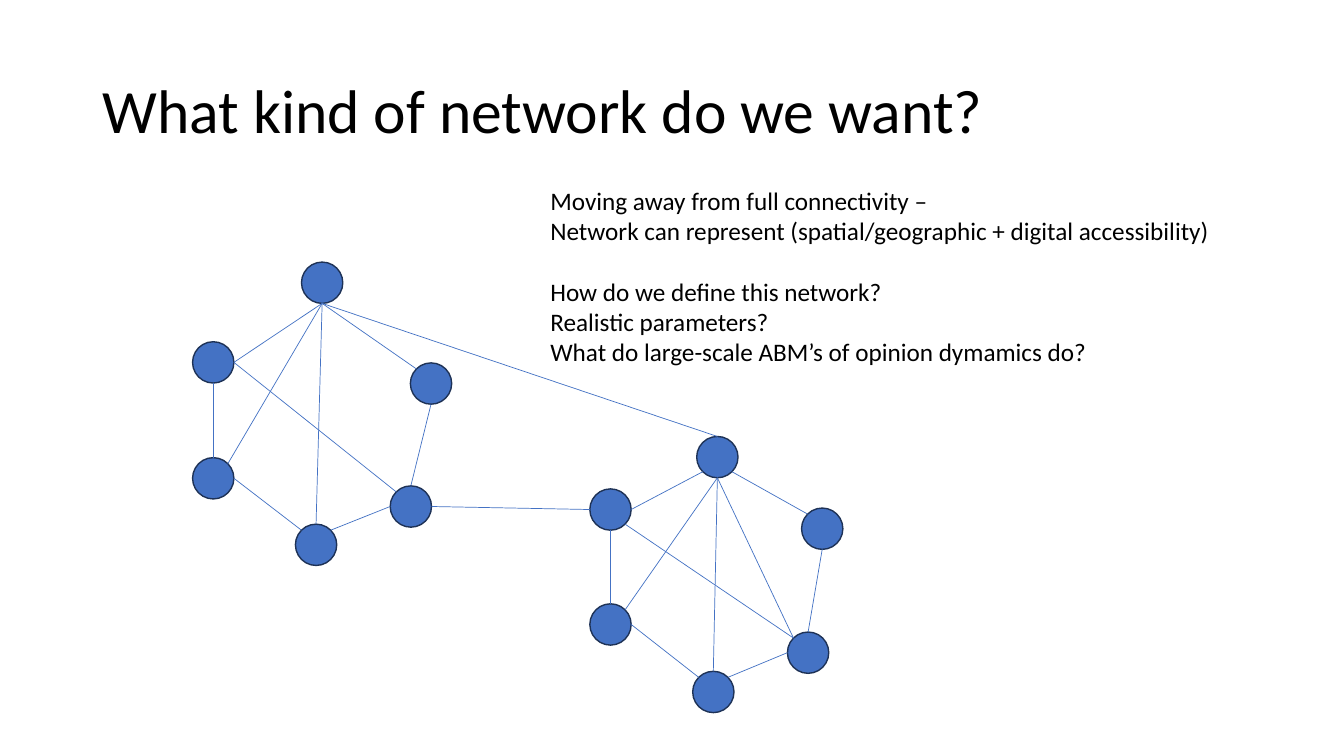
"""Build a slide of two small networks joined by two links."""
import math
from pptx import Presentation
from pptx import util as u
from pptx.dml.color import RGBColor
from pptx.enum import shapes, text
from pptx.oxml.ns import qn
from lxml import etree

BLUE = RGBColor(0x44, 0x72, 0xC4)
NAVY = RGBColor(0x1E, 0x32, 0x56)
BLACK = RGBColor(0, 0, 0)
SIZE = 0.41
SIDES = ("E", "SE", "S", "SW", "W", "NW", "N", "NE")

WEST = {"left": (1.91, 3.39), "low": (1.91, 4.54), "right": (3.87, 4.82),
        "base": (2.93, 5.2), "top": (2.99, 2.6), "far": (4.07, 3.6)}
EAST = {"left": (5.85, 4.85), "low": (5.85, 5.99), "right": (7.81, 6.27),
        "base": (6.87, 6.66), "top": (6.91, 4.33), "far": (7.95, 5.04)}

SHARED = [("far", "S", "right", "N"), ("top", "S", "base", "N"),
          ("top", "S", "low", "NE"), ("low", "E", "base", "NW"),
          ("base", "NE", "right", "W"), ("left", "S", "low", "N")]
WEST_ONLY = [("left", "E", "right", "NW"), ("left", "E", "top", "S"),
             ("top", "S", "far", "NW")]
EAST_ONLY = [("top", "S", "right", "NW"), ("left", "SE", "right", "NW"),
             ("left", "E", "top", "SW"), ("top", "SE", "far", "NW")]

TITLE = ["What kind of network do we want?"]
INTRO = ["Moving away from full connectivity –",
         "Network can represent (spatial/geographic + digital accessibility)"]
ASKS = ["How do we define this network?", "Realistic parameters?",
        "What do large-scale ABM’s of opinion dymamics do?"]


def site(node, side):
    """Return the point on a node's rim that faces the given side."""
    turn = SIDES.index(side) * math.pi / 4
    half = SIZE / 2
    return (node[0] + half + half * math.cos(turn),
            node[1] + half + half * math.sin(turn))


class Deck:
    """Hold the style and the current slide."""

    def __init__(self, font="Calibri"):
        self.font = font
        self.prs = Presentation()
        self.prs.slide_width = u.Inches(13.33)
        self.prs.slide_height = u.Inches(7.5)
        self.slide = self.prs.slides.add_slide(self.prs.slide_layouts[6])

    def label(self, box, lines, size, anchor=text.MSO_ANCHOR.TOP, pitch=None):
        """Add a text box with one paragraph per line."""
        frame = self.slide.shapes.add_textbox(*map(u.Inches, box)).text_frame
        frame.word_wrap = True
        frame.vertical_anchor = anchor
        frame.text = "\n".join(lines)
        for para in frame.paragraphs:
            para.font.name = self.font
            para.font.size = u.Pt(size)
            para.font.color.rgb = BLACK
            if pitch:
                para.line_spacing = pitch
        return frame

    def dot(self, node):
        """Add a round node."""
        dot = self.slide.shapes.add_shape(
            shapes.MSO_SHAPE.OVAL, *map(u.Inches, (*node, SIZE, SIZE)))
        dot.shadow.inherit = False
        dot.fill.solid()
        dot.fill.fore_color.rgb = BLUE
        dot.line.color.rgb = NAVY
        dot.line.width = u.Pt(1)

    def link(self, start, end):
        """Add a thin line between two points."""
        line = self.slide.shapes.add_connector(
            shapes.MSO_CONNECTOR.STRAIGHT, *map(u.Inches, (*start, *end)))
        line.line.color.rgb = BLUE
        line.line.width = u.Pt(0.5)
        etree.SubElement(line.element.spPr, qn("a:effectLst"))

    def net(self, nodes, links):
        """Add the nodes of a network and the links among them."""
        for node in nodes.values():
            self.dot(node)
        for one, out, two, into in links:
            self.link(site(nodes[one], out), site(nodes[two], into))


def main():
    """Draw the slide and save it."""
    deck = Deck()
    deck.label((0.92, 0.4, 11.5, 1.45), TITLE, 44, text.MSO_ANCHOR.MIDDLE, 0.9)
    notes = deck.label((5.36, 1.79, 6.85, 1.92), INTRO + ASKS, 18)
    notes.paragraphs[len(INTRO)].space_before = u.Pt(21.6)
    deck.net(WEST, SHARED + WEST_ONLY)
    deck.net(EAST, SHARED + EAST_ONLY)
    deck.link(site(EAST["left"], "W"), site(WEST["right"], "E"))
    deck.link(site(WEST["top"], "S"), site(EAST["top"], "N"))
    deck.prs.save("out.pptx")


if __name__ == "__main__":
    main()
